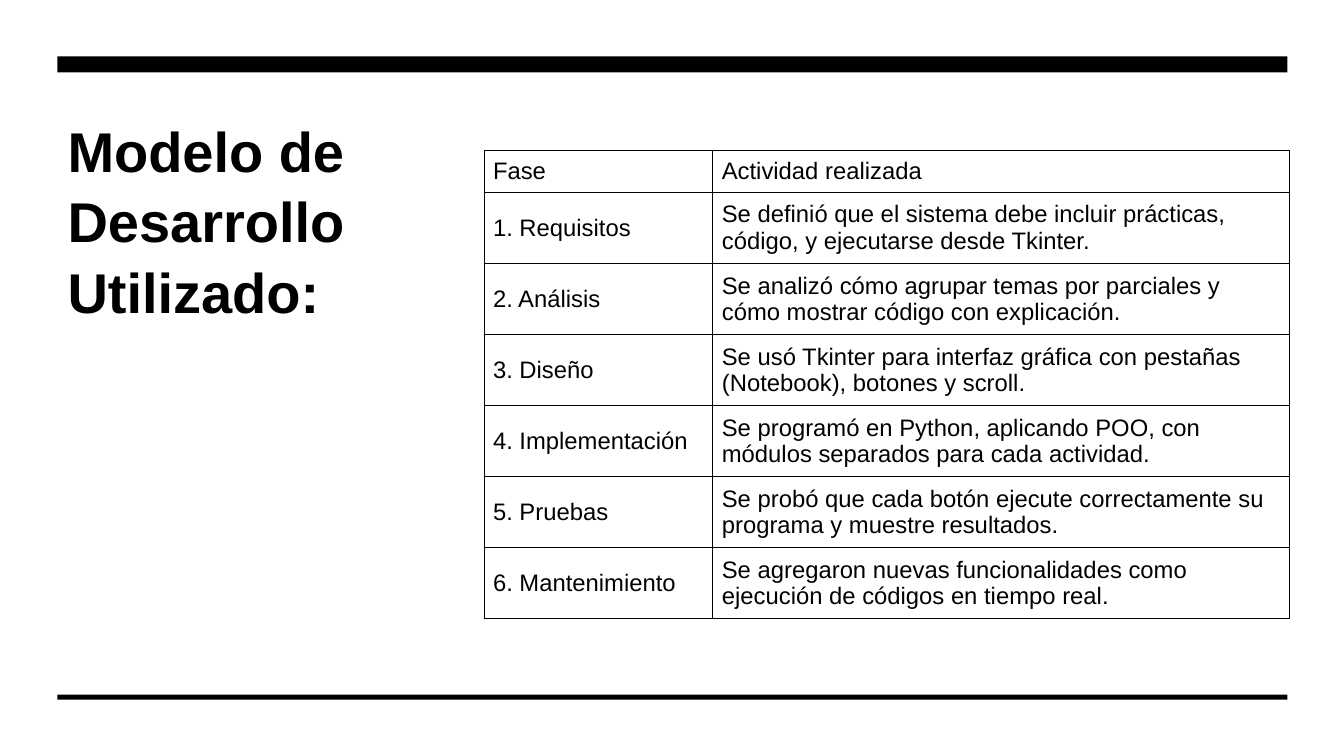
from dataclasses import dataclass

from lxml import etree
from pptx import Presentation
from pptx.dml.color import RGBColor
from pptx.enum.shapes import MSO_SHAPE
from pptx.enum.text import MSO_ANCHOR, MSO_AUTO_SIZE, PP_ALIGN
from pptx.oxml.ns import qn
from pptx.util import Inches, Pt

RECTANGLE = MSO_SHAPE.RECTANGLE
TOP, MIDDLE = MSO_ANCHOR.TOP, MSO_ANCHOR.MIDDLE
LEFT = PP_ALIGN.LEFT
NO_AUTOFIT = MSO_AUTO_SIZE.NONE
TITLE_ONLY = 5


@dataclass(frozen=True)
class Theme:
    font: str = "Arial"
    ink: str = "000000"
    paper: str = "FFFFFF"
    title_size: float = 40
    table_size: float = 17
    border_width: float = 0.75


@dataclass(frozen=True)
class Box:
    left: float
    top: float
    width: float
    height: float

    def lengths(self):
        return [Inches(v) for v in (self.left, self.top, self.width, self.height)]


@dataclass(frozen=True)
class Phase:
    name: str
    activity: str


THEME = Theme()
PAGE = Box(0, 0, 13.33, 7.5)
TITLE = Box(0.57, 1.07, 3.45, 4.45)
RULES = [Box(0.57, 0.56, 12.2, 0.16), Box(0.57, 6.89, 12.2, 0.05)]
TABLE = Box(4.8, 1.49, 7.99, 4.65)
COLUMN_WIDTHS = [2.27, 5.72]
HEADER_HEIGHT = 0.42
HEADER = Phase("Fase", "Actividad realizada")
PHASES = [
    Phase("Requisitos", "Se definió que el sistema debe incluir prácticas, código, y ejecutarse desde Tkinter."),
    Phase("Análisis", "Se analizó cómo agrupar temas por parciales y cómo mostrar código con explicación."),
    Phase("Diseño", "Se usó Tkinter para interfaz gráfica con pestañas (Notebook), botones y scroll."),
    Phase("Implementación", "Se programó en Python, aplicando POO, con módulos separados para cada actividad."),
    Phase("Pruebas", "Se probó que cada botón ejecute correctamente su programa y muestre resultados."),
    Phase("Mantenimiento", "Se agregaron nuevas funcionalidades como ejecución de códigos en tiempo real."),
]


def write(tf, text: str, size: float, bold: bool = False):
    tf.text = text
    p = tf.paragraphs[0]
    p.alignment = LEFT
    font = p.runs[0].font
    font.name, font.size, font.bold = THEME.font, Pt(size), bold
    font.color.rgb = RGBColor.from_string(THEME.ink)
    return p


def add_bar(s, box: Box, color: str):
    sp = s.shapes.add_shape(RECTANGLE, *box.lengths())
    sp.shadow.inherit = False
    sp.fill.solid()
    sp.fill.fore_color.rgb = RGBColor.from_string(color)
    sp.line.fill.background()
    return sp


def format_title(title) -> None:
    title.left, title.top, title.width, title.height = TITLE.lengths()
    tf = title.text_frame
    tf.word_wrap = True
    tf.auto_size = NO_AUTOFIT
    tf.vertical_anchor = TOP
    p = write(tf, "Modelo de Desarrollo Utilizado:", THEME.title_size, bold=True)
    p.line_spacing = 1.05


def add_borders(cell) -> None:
    properties = cell._tc.get_or_add_tcPr()
    for position, side in enumerate(("lnL", "lnR", "lnT", "lnB")):
        line = etree.Element(qn(f"a:{side}"), w=str(Pt(THEME.border_width)))
        fill = etree.SubElement(line, qn("a:solidFill"))
        etree.SubElement(fill, qn("a:srgbClr"), val=THEME.ink)
        properties.insert(position, line)


def add_phase_table(s) -> None:
    rows = [HEADER] + [Phase(f"{n}. {phase.name}", phase.activity) for n, phase in enumerate(PHASES, 1)]
    table = s.shapes.add_table(len(rows), len(COLUMN_WIDTHS), *TABLE.lengths()).table
    table.first_row = table.horz_banding = False
    for column, width in zip(table.columns, COLUMN_WIDTHS):
        column.width = Inches(width)
    phase_height = (TABLE.height - HEADER_HEIGHT) / len(PHASES)
    for i, (row, phase) in enumerate(zip(table.rows, rows)):
        row.height = Inches(phase_height if i else HEADER_HEIGHT)
        for cell, text in zip(row.cells, (phase.name, phase.activity)):
            cell.margin_left = cell.margin_right = Inches(0.09)
            cell.margin_top = cell.margin_bottom = Inches(0.05)
            cell.vertical_anchor = MIDDLE
            cell.fill.background()
            write(cell.text_frame, text, THEME.table_size)
            add_borders(cell)


def main() -> None:
    prs = Presentation()
    prs.slide_width, prs.slide_height = Inches(PAGE.width), Inches(PAGE.height)
    s = prs.slides.add_slide(prs.slide_layouts[TITLE_ONLY])
    title = s.shapes.title
    format_title(title)
    backdrop = add_bar(s, PAGE, THEME.paper)
    title.element.addprevious(backdrop.element)
    for rule in RULES:
        add_bar(s, rule, THEME.ink)
    add_phase_table(s)
    prs.save("out.pptx")


if __name__ == "__main__":
    main()
